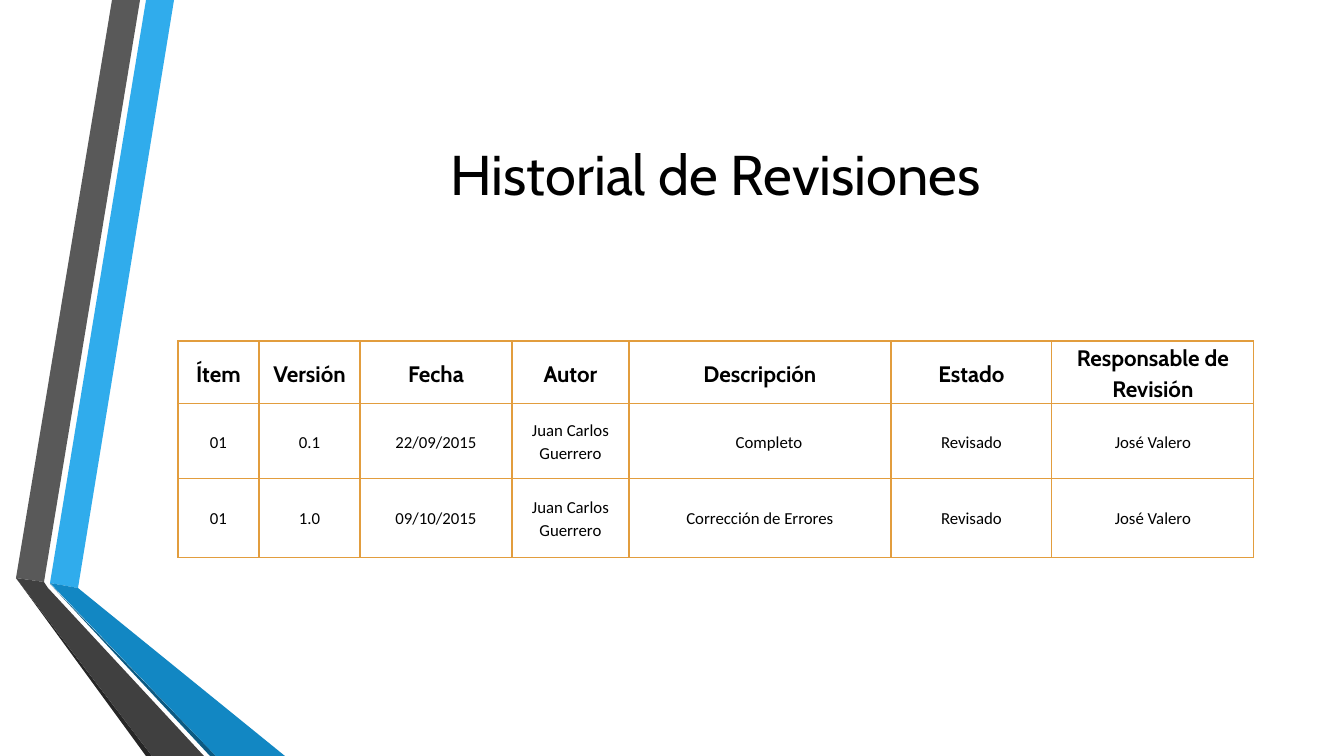
from dataclasses import dataclass

from lxml import etree
from pptx import Presentation
from pptx import util as u
from pptx.dml.color import RGBColor
from pptx.enum import text
from pptx.oxml import ns

PX = 914400 / 100.8


@dataclass(frozen=True)
class Theme:
    """Colours, fonts and type sizes of the slide."""
    ink: str = "000000"
    border: str = "E29D3E"
    sky: str = "30ACEC"
    blue: str = "1287C3"
    navy: str = "0C5A82"
    grey: str = "595959"
    dark: str = "404040"
    black: str = "262626"
    heading: str = "Cabin"
    body: str = "Calibri"
    title_size: int = 40
    header_size: int = 16
    cell_size: int = 12


THEME = Theme()
RIBBONS = [
    (THEME.sky, [(50, 583), (78, 588), (174, 0), (146, 0)]),
    (THEME.grey, [(140, 0), (112, 0), (16, 578), (44, 582)]),
    (THEME.black, [(16, 578), (146, 756), (152, 756)]),
    (THEME.navy, [(50, 584), (210, 756), (216, 756)]),
    (THEME.blue, [(50, 583), (216, 756), (285, 756), (78, 588)]),
    (THEME.dark, [(204, 756), (48, 588), (44, 582), (16, 578), (152, 756)]),
]
COLUMNS = [81, 101, 152, 117, 262, 161, 202]
ROWS = [62, 75, 79]
REVISIONS = [
    ["Ítem", "Versión", "Fecha", "Autor", "Descripción", "Estado", "Responsable de Revisión"],
    ["01", "0.1", "22/09/2015", "Juan Carlos Guerrero", "Completo", "Revisado", "José Valero"],
    ["01", "1.0", "09/10/2015", "Juan Carlos Guerrero", "Corrección de Errores", "Revisado",
     "José Valero"],
]
INDENTED = "Completo"


def px(length):
    """Turn px into EMU."""
    return u.Emu(round(length * PX))


def write(frame, words, size, font, bold=False, spacing=1.0):
    """Write one centred paragraph into a text frame."""
    para = frame.paragraphs[0]
    para.alignment = text.PP_ALIGN.CENTER
    para.line_spacing = spacing
    para.space_before = u.Pt(0)
    span = para.add_run()
    span.text = words
    span.font.size = u.Pt(size)
    span.font.name = font
    span.font.bold = bold
    span.font.color.rgb = RGBColor.from_string(THEME.ink)


def add_ribbons(page, left, top):
    """Draw the folded ribbons from the given corner."""
    for colour, points in RIBBONS:
        placed = [(left + x, top + y) for x, y in points]
        builder = page.shapes.build_freeform(*placed[0], scale=PX)
        builder.add_line_segments(placed[1:], close=True)
        ribbon = builder.convert_to_shape()
        ribbon.shadow.inherit = False
        ribbon.fill.solid()
        ribbon.fill.fore_color.rgb = RGBColor.from_string(colour)
        ribbon.line.fill.background()


def add_title(page, left, top, width, height):
    """Place and format the title placeholder."""
    title = page.shapes.title
    title.left, title.top, title.width, title.height = map(px, (left, top, width, height))
    frame = title.text_frame
    frame.word_wrap = True
    frame.auto_size = text.MSO_AUTO_SIZE.NONE
    frame.vertical_anchor = text.MSO_ANCHOR.MIDDLE
    write(frame, "Historial de Revisiones", THEME.title_size, THEME.heading)


def outline(cell):
    """Give a cell a thin border on all four sides."""
    properties = cell._tc.get_or_add_tcPr()
    for place, side in enumerate(("lnL", "lnR", "lnT", "lnB")):
        line = etree.Element(ns.qn(f"a:{side}"), w=str(u.Pt(1)))
        fill = etree.SubElement(line, ns.qn("a:solidFill"))
        etree.SubElement(fill, ns.qn("a:srgbClr"), val=THEME.border)
        properties.insert(place, line)


def add_revisions(page, left, top):
    """Add the revision table with its corner at the given point."""
    holder = page.shapes.add_table(len(ROWS), len(COLUMNS), px(left), px(top),
                                   px(sum(COLUMNS)), px(sum(ROWS)))
    table = holder.table
    table.first_row = table.horz_banding = False
    for column, width in zip(table.columns, COLUMNS):
        column.width = px(width)
    for row, height, entries in zip(table.rows, ROWS, REVISIONS):
        row.height = px(height)
        header = entries is REVISIONS[0]
        for cell, words in zip(row.cells, entries):
            cell.fill.background()
            outline(cell)
            cell.margin_left = px(26 if words == INDENTED else 8)
            cell.margin_right = px(8)
            cell.margin_top = cell.margin_bottom = 0
            cell.vertical_anchor = text.MSO_ANCHOR.MIDDLE
            write(cell.text_frame, words,
                  THEME.header_size if header else THEME.cell_size,
                  THEME.heading if header else THEME.body,
                  bold=header, spacing=1.15)


def main():
    """Build and save the deck."""
    deck = Presentation()
    deck.slide_width, deck.slide_height = px(1344), px(756)
    page = deck.slides.add_slide(deck.slide_layouts[5])
    add_ribbons(page, 0, 0)
    add_title(page, 163, 76, 1105, 194)
    add_revisions(page, 178, 341)
    deck.save("out.pptx")


if __name__ == "__main__":
    main()
